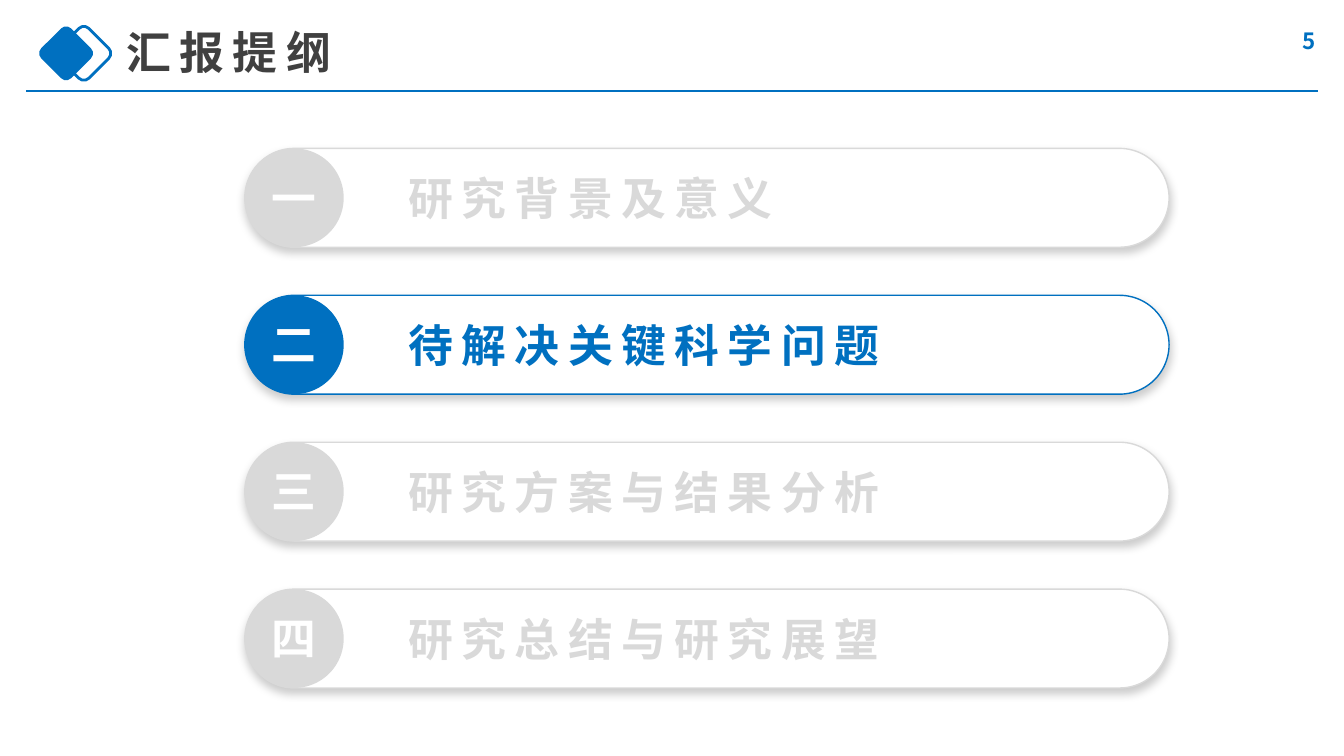
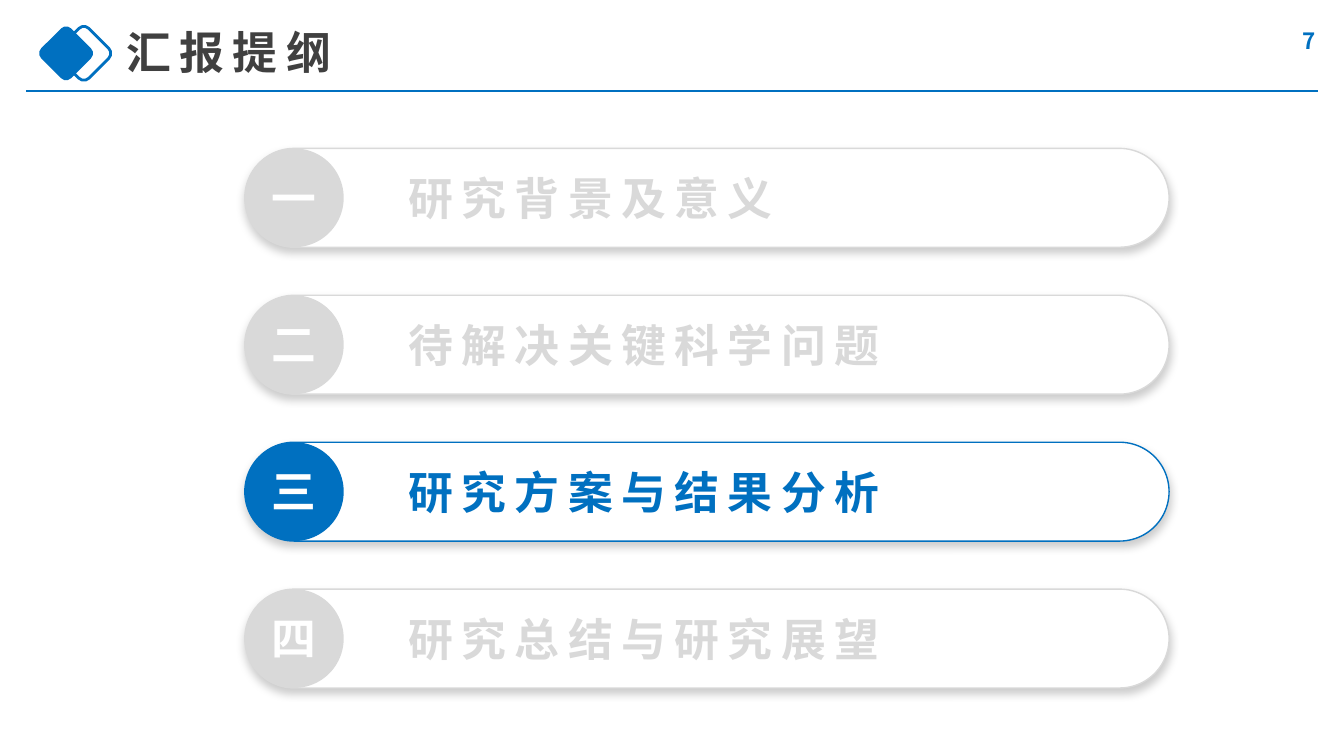
from lxml.etree import SubElement
from pptx import Presentation
from pptx.dml.color import RGBColor
from pptx.enum.shapes import MSO_CONNECTOR, MSO_SHAPE
from pptx.enum.text import MSO_ANCHOR, PP_ALIGN
from pptx.oxml.ns import qn
from pptx.util import Pt

BLUE = RGBColor(0x00, 0x70, 0xC0)
GREY = RGBColor(0xD9, 0xD9, 0xD9)
DARK = RGBColor(0x40, 0x40, 0x40)
WHITE = RGBColor(0xFF, 0xFF, 0xFF)
FONT = "Noto Sans CJK SC"

TITLE = "汇报提纲"
ITEMS = [
    ("一", "研究背景及意义"),
    ("二", "待解决关键科学问题"),
    ("三", "研究方案与结果分析"),
    ("四", "研究总结与研究展望"),
]
PAGES = [("5", 1), ("7", 2)]  # page number, index of the active item


def write(shape, text, size=32, color=DARK, align=PP_ALIGN.LEFT, gap=0,
          inset=(7.2, 0, 7.2, 0)):
    """Set one line of bold text; gap is the letter spacing in points."""
    frame = shape.text_frame
    frame.word_wrap = True
    frame.vertical_anchor = MSO_ANCHOR.MIDDLE
    (frame.margin_left, frame.margin_top,
     frame.margin_right, frame.margin_bottom) = map(Pt, inset)
    para = frame.paragraphs[0]
    para.alignment = align
    run = para.add_run()
    run.text = text
    font = run.font
    font.name, font.size, font.bold = FONT, Pt(size), True
    font.color.rgb = color
    props = run._r.get_or_add_rPr()
    props.set("spc", str(gap * 100))
    SubElement(props, qn("a:ea"), typeface=FONT)


def draw(slide, kind, box, fill=None, line=None, width=1):
    shape = slide.shapes.add_shape(kind, *map(Pt, box))
    shape.shadow.inherit = False
    if fill is None:
        shape.fill.background()
    else:
        shape.fill.solid()
        shape.fill.fore_color.rgb = fill
    if line is None:
        shape.line.fill.background()
    else:
        shape.line.color.rgb = line
        shape.line.width = Pt(width)
    return shape


def shade(shape):
    """Add a soft shadow below the shape."""
    effects = shape._element.spPr.find(qn("a:effectLst"))
    outer = SubElement(effects, qn("a:outerShdw"), blurRad=str(Pt(6)),
                       dist=str(Pt(3)), dir="5400000", algn="t",
                       rotWithShape="0")
    color = SubElement(outer, qn("a:srgbClr"), val="000000")
    SubElement(color, qn("a:alpha"), val="20000")


def header(slide, page, left, top, width, height):
    # Pair of diamonds
    side = 30.2
    for shift, fill, line in ((26, None, BLUE), (13.3, BLUE, None)):
        mark = draw(slide, MSO_SHAPE.ROUNDED_RECTANGLE,
                    (left + shift, top + 9.4, side, side), fill, line, 2)
        mark.rotation = 45

    # Title
    title = slide.shapes.title
    title.left, title.top = Pt(left + 64.3), Pt(top)
    title.width, title.height = Pt(365), Pt(46)
    write(title, TITLE, gap=6)

    # Page number
    box = slide.shapes.add_textbox(Pt(left + width - 210.4), Pt(top + 0.8),
                                   Pt(216), Pt(28.8))
    write(box, page, size=16, color=BLUE, align=PP_ALIGN.RIGHT)

    # Rule below the header
    base = Pt(top + height)
    rule = slide.shapes.add_connector(MSO_CONNECTOR.STRAIGHT, Pt(left), base,
                                      Pt(left + width), base)
    rule.line.color.rgb = BLUE
    rule.line.width = Pt(1.5)
    SubElement(rule._element.spPr, qn("a:effectLst"))


def entry(slide, mark, text, active, left, top, width, height):
    tint = BLUE if active else GREY
    # Pill with its label
    pill = draw(slide, MSO_SHAPE.ROUNDED_RECTANGLE,
                (left, top, width, height), WHITE, tint)
    pill.adjustments[0] = 0.5
    shade(pill)
    write(pill, text, color=tint, gap=6, inset=(106.6, 0, 0, 0.5))
    # Disc with its numeral
    disc = draw(slide, MSO_SHAPE.OVAL, (left, top, height, height), tint)
    write(disc, mark, color=WHITE, align=PP_ALIGN.CENTER, inset=(0, 0, 0, 1))


def agenda(slide, active, left, top, width, height):
    tall = 70.6
    pitch = (height - tall) / (len(ITEMS) - 1)
    for i, (mark, text) in enumerate(ITEMS):
        entry(slide, mark, text, i == active,
              left, top + i * pitch, width, tall)


def main():
    deck = Presentation()
    deck.slide_width, deck.slide_height = Pt(960), Pt(540)
    for page, active in PAGES:
        slide = deck.slides.add_slide(deck.slide_layouts[5])
        header(slide, page, 18.8, 13.6, 922.4, 51.4)
        agenda(slide, active, 174.9, 106, 660.2, 385.4)
    deck.save("out.pptx")


if __name__ == "__main__":
    main()
